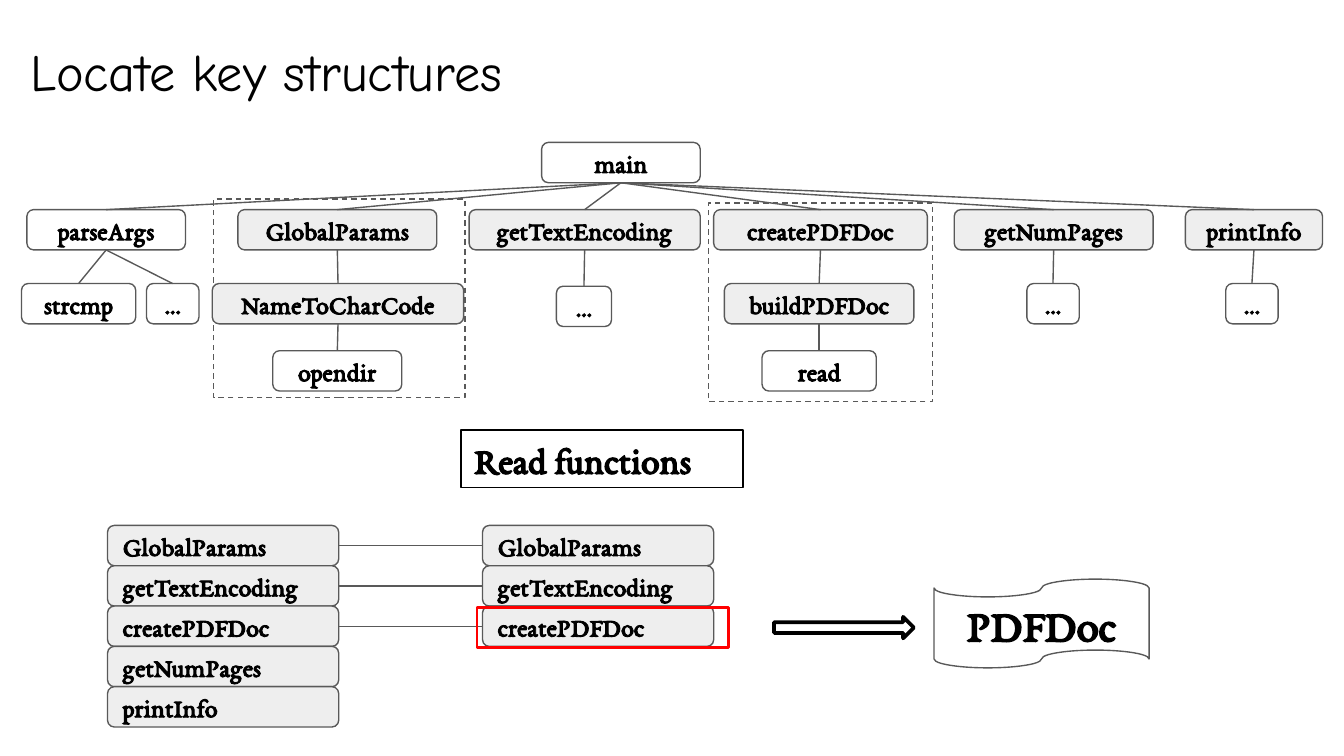
import dataclasses

import lxml.etree
import pptx
import pptx.dml.color
import pptx.enum.dml
import pptx.enum.shapes
import pptx.enum.text
import pptx.oxml.ns
import pptx.util

Inches = pptx.util.Inches
Pt = pptx.util.Pt
RGBColor = pptx.dml.color.RGBColor
SHAPE = pptx.enum.shapes.MSO_SHAPE
ALIGN = pptx.enum.text.PP_ALIGN
ANCHOR = pptx.enum.text.MSO_ANCHOR

BLACK = RGBColor(0x00, 0x00, 0x00)
WHITE = RGBColor(0xFF, 0xFF, 0xFF)
GREY = RGBColor(0xEE, 0xEE, 0xEE)
DARK_GREY = RGBColor(0x59, 0x59, 0x59)
RED = RGBColor(0xFF, 0x00, 0x00)
TITLE_FONT = "Comic Neue"
BODY_FONT = "EB Garamond"
NODE_HEIGHT = 0.3
TOP_SITE, LEFT_SITE, BOTTOM_SITE, RIGHT_SITE = range(4)


@dataclasses.dataclass
class Node:
    label: str
    left: float
    top: float
    width: float
    fill: RGBColor = WHITE
    children: tuple = ()


CALL_TREE = Node("main", 3.87, 0, 1.18, WHITE, (
    Node("parseArgs", 0.04, 0.5, 1.18, WHITE, (
        Node("strcmp", 0, 1.05, 0.85),
        Node("…", 0.93, 1.05, 0.39))),
    Node("GlobalParams", 1.61, 0.5, 1.48, GREY, (
        Node("NameToCharCode", 1.42, 1.05, 1.87, GREY, (
            Node("opendir", 1.87, 1.55, 0.96),)),)),
    Node("getTextEncoding", 3.33, 0.5, 1.72, GREY, (
        Node("…", 3.98, 1.07, 0.41),)),
    Node("createPDFDoc", 5.15, 0.5, 1.59, GREY, (
        Node("buildPDFDoc", 5.23, 1.05, 1.41, GREY, (
            Node("read", 5.51, 1.55, 0.85),)),)),
    Node("getNumPages", 6.94, 0.5, 1.48, GREY, (
        Node("…", 7.48, 1.05, 0.39),)),
    Node("printInfo", 8.66, 0.5, 1.02, GREY, (
        Node("…", 8.96, 1.05, 0.39),)),
))
FUNCTIONS = ["GlobalParams", "getTextEncoding", "createPDFDoc", "getNumPages", "printInfo"]


def format_text(shape, text, size, font=BODY_FONT, bold=True,
                align=ALIGN.CENTER, anchor=ANCHOR.MIDDLE):
    frame = shape.text_frame
    frame.text = text
    frame.word_wrap = True
    frame.auto_size = pptx.enum.text.MSO_AUTO_SIZE.NONE
    frame.vertical_anchor = anchor
    frame.margin_left = frame.margin_right = Inches(0.1)
    frame.margin_top = frame.margin_bottom = Inches(0.1)
    paragraph = frame.paragraphs[0]
    paragraph.alignment = align
    run_font = paragraph.runs[0].font
    run_font.name = font
    run_font.size = Pt(size)
    run_font.bold = bold
    run_font.color.rgb = BLACK


def add_box(slide, kind, left, top, width, height, fill=None, line=DARK_GREY, weight=0.75):
    shape = slide.shapes.add_shape(
        kind, Inches(left), Inches(top), Inches(width), Inches(height))
    shape.shadow.inherit = False
    if fill is None:
        shape.fill.background()
    else:
        shape.fill.solid()
        shape.fill.fore_color.rgb = fill
    shape.line.color.rgb = line
    shape.line.width = Pt(weight)
    return shape


def add_function(slide, label, left, top, width, fill, align=ALIGN.CENTER):
    shape = add_box(slide, SHAPE.FLOWCHART_ALTERNATE_PROCESS,
                    left, top, width, NODE_HEIGHT, fill)
    format_text(shape, label, 14, align=align)
    return shape


def join(slide, start, start_site, end, end_site):
    connector = slide.shapes.add_connector(
        pptx.enum.shapes.MSO_CONNECTOR.STRAIGHT, 0, 0, 0, 0)
    connector.begin_connect(start, start_site)
    connector.end_connect(end, end_site)
    connector.line.color.rgb = DARK_GREY
    connector.line.width = Pt(0.75)
    properties = connector._element.spPr
    lxml.etree.SubElement(properties, pptx.oxml.ns.qn("a:effectLst"))


def add_title(slide, left, top, width, height):
    title = slide.shapes.title
    title.left, title.top = Inches(left), Inches(top)
    title.width, title.height = Inches(width), Inches(height)
    format_text(title, "Locate key structures", 28, TITLE_FONT, False,
                ALIGN.LEFT, ANCHOR.TOP)


def add_node(slide, node, left, top):
    shape = add_function(slide, node.label, left + node.left, top + node.top,
                         node.width, node.fill)
    for child in node.children:
        join(slide, shape, BOTTOM_SITE, add_node(slide, child, left, top), TOP_SITE)
    return shape


def add_call_tree(slide, left, top):
    for frame_left, frame_top, frame_width in ((1.43, 0.42, 1.87), (5.11, 0.45, 1.67)):
        frame = add_box(slide, SHAPE.RECTANGLE, left + frame_left, top + frame_top,
                        frame_width, 1.48)
        frame.line.dash_style = pptx.enum.dml.MSO_LINE.DASH
    add_node(slide, CALL_TREE, left, top)


def add_heading(slide, left, top, width, height):
    heading = add_box(slide, SHAPE.RECTANGLE, left, top, width, height, line=BLACK)
    format_text(heading, "Read functions", 20, align=ALIGN.LEFT)


def add_function_list(slide, labels, left, top, width):
    return [add_function(slide, label, left, top + row * NODE_HEIGHT, width, GREY, ALIGN.LEFT)
            for row, label in enumerate(labels)]


def add_read_functions(slide, left, top):
    candidates = add_function_list(slide, FUNCTIONS, left, top, 1.72)
    readers = add_function_list(slide, FUNCTIONS[:3], left + 2.79, top, 1.72)
    for candidate, reader in zip(candidates, readers):
        join(slide, candidate, RIGHT_SITE, reader, LEFT_SITE)
    add_box(slide, SHAPE.RECTANGLE, left + 2.75, top + 0.61, 1.87, NODE_HEIGHT,
            line=RED, weight=1.5)


def add_result(slide, left, top):
    add_box(slide, SHAPE.RIGHT_ARROW, left, top + 0.28, 1.04, 0.16, line=BLACK, weight=2)
    tape = add_box(slide, SHAPE.FLOWCHART_PUNCHED_TAPE, left + 1.19, top, 1.6, 0.66)
    format_text(tape, "PDFDoc", 24)


def main():
    presentation = pptx.Presentation()
    presentation.slide_width = Inches(10)
    presentation.slide_height = presentation.slide_width * 9 // 16
    slide = presentation.slides.add_slide(presentation.slide_layouts[5])
    add_title(slide, 0.13, 0.19, 4.97, 0.57)
    add_call_tree(slide, 0.16, 1.06)
    add_heading(slide, 3.43, 3.2, 2.1, 0.43)
    add_read_functions(slide, 0.8, 3.91)
    add_result(slide, 5.76, 4.31)
    presentation.save("out.pptx")


if __name__ == "__main__":
    main()
